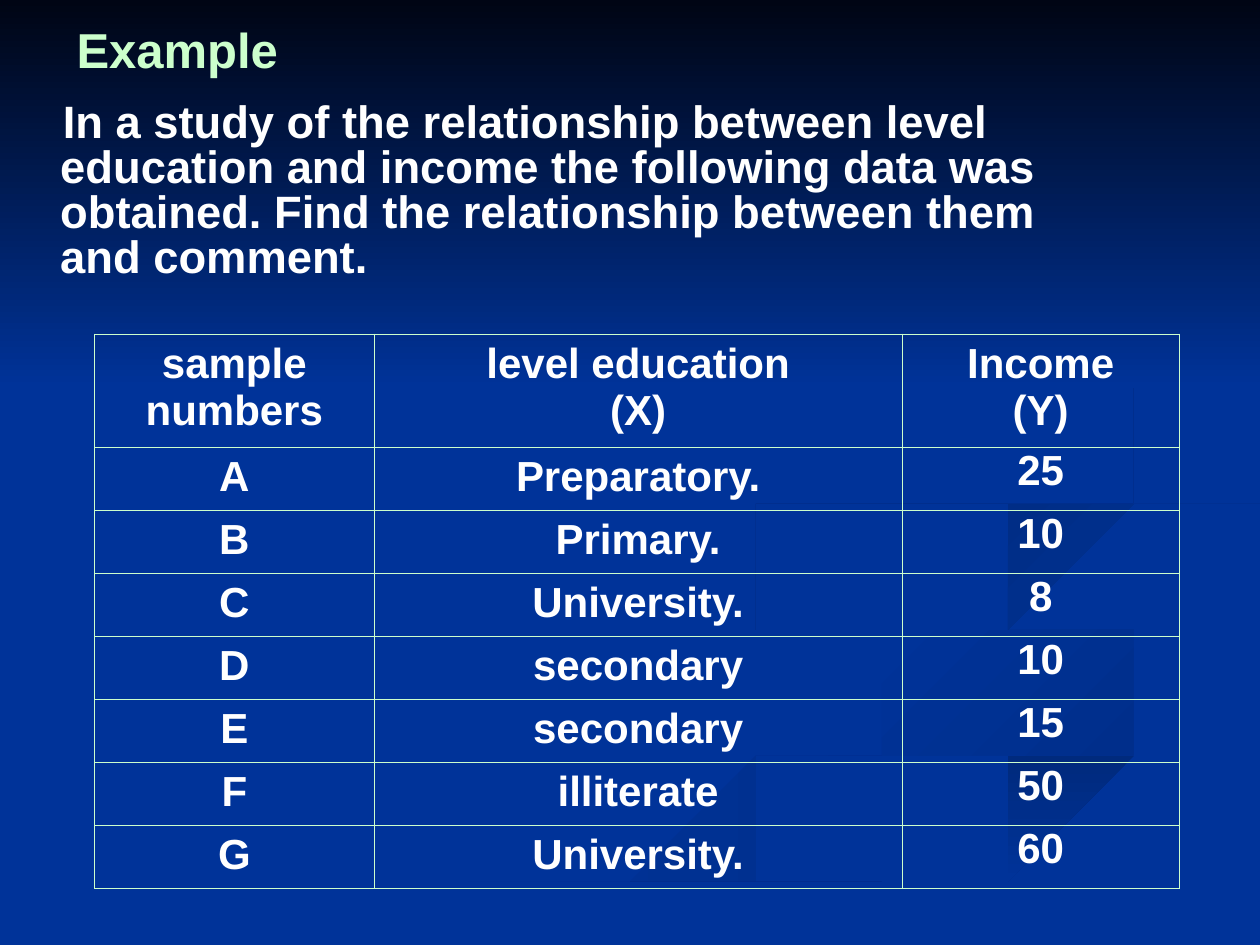
from dataclasses import dataclass
from typing import Optional

import pptx
import pptx.dml.color
import pptx.enum.shapes
import pptx.enum.text
import pptx.oxml
import pptx.oxml.ns
import pptx.util

ALIGN = pptx.enum.text.PP_ALIGN
ANCHOR = pptx.enum.text.MSO_ANCHOR

# The slide is a grid of 10 columns by 7.5 rows
COLUMNS, ROWS = 10, 7.5
CELL = pptx.util.Inches(1)
CURVE_STEPS = 5


@dataclass(frozen=True)
class Theme:
    font: str = "Arial"
    blue: str = "003399"
    night: str = "000514"
    mint: str = "CCFFCC"
    white: str = "FFFFFF"
    title_size: float = 28
    question_size: float = 25.9
    table_size: float = 24
    border_width: float = 0.45


@dataclass(frozen=True)
class Ribbon:
    edges: tuple  # each edge is a smooth curve; the edges meet at corners
    start: str
    end: Optional[str] = None  # no end colour means a solid fill
    angle: float = 0  # clockwise


THEME = Theme()

# Edges that neighbouring ribbons share
INNER_EDGE = ((7.24, 4.64), (7.92, 5.09), (9.05, 5.4), (9.43, 5.7))
SWEEP_EDGE = ((5.03, 7.49), (6.96, 6.69), (9.98, 5.81))
CURL_EDGE = ((7.81, 4.62), (8.5, 4.27), (9.98, 4.02))

RIBBONS = (
    # Left wave
    Ribbon((((5.75, 4.59), (5.81, 4.83), (6.79, 5.19), (7.86, 5.66), (7.14, 6.05),
             (4.58, 6.74), (3, 7.49)),
            ((3.61, 7.49), (5.32, 6.74), (6.99, 6.28), (8, 5.81), (7.81, 5.53),
             (6.82, 5.19), (6.02, 4.9), (5.75, 4.59))),
           THEME.blue, "002E8B"),
    # Inner edge of the right wave
    Ribbon((INNER_EDGE + ((8.94, 6.05),),
            ((8.94, 6.05), (9.18, 5.81), (8.38, 5.36), (7.55, 5.05), (7.24, 4.64))),
           THEME.blue, "002E8B", 45),
    # Lower sweep
    Ribbon((SWEEP_EDGE, ((9.98, 6.09), (7.52, 6.72), (5.71, 7.49))),
           "002A7D", THEME.blue, 90),
    # Right wave
    Ribbon((INNER_EDGE + ((8.13, 6.25), (6.19, 6.84), (4.77, 7.49)),
            SWEEP_EDGE,
            ((9.98, 5.38), (8.32, 4.98)) + CURL_EDGE,
            ((9.98, 3.87), (8.3, 4.15), (7.42, 4.39), INNER_EDGE[0])),
           THEME.blue),
    # Upper right curl
    Ribbon((CURL_EDGE, ((9.98, 4.2), (8.78, 4.39), (8.06, 4.72), (8.26, 4.96)),
            ((8.26, 4.96), CURL_EDGE[0])),
           "002D86", THEME.blue, 45),
    # Upper hook
    Ribbon((((7.62, 2.33), (8.64, 2.91), (8.94, 3.44), (8.41, 3.96), (6.83, 4.3),
             (5.94, 4.65), (6.22, 5)),
            ((6.22, 5), (5.77, 4.62), (6.49, 4.2), (8.3, 3.82), (8.89, 3.35),
             (8.46, 2.79), (7.62, 2.33))),
           "002B82", THEME.blue, 45),
)

QUESTION = ("In a study of the relationship between level education and income the following "
            "data was obtained. Find the relationship between them and comment.")

SAMPLES = (
    ("sample\vnumbers", "level education\v(X)", "Income\v(Y)"),
    ("A", "Preparatory.", "25"),
    ("B", "Primary.", "10"),
    ("C", "University.", "8"),
    ("D", "secondary", "10"),
    ("E", "secondary", "15"),
    ("F", "illiterate", "50"),
    ("G", "University.", "60"),
)
SAMPLE_WIDTHS = (2.22, 4.19, 2.2)
HEADER_HEIGHT, SAMPLE_HEIGHT = 0.9, 0.5


def grid(count: float) -> int:
    return round(count * CELL)


def rgb(code: str) -> pptx.dml.color.RGBColor:
    return pptx.dml.color.RGBColor.from_string(code)


def write(frame, text: str, *, size: float, color: str = THEME.white,
          align=ALIGN.LEFT, anchor=ANCHOR.TOP, spacing: float = 1.0) -> None:
    frame.word_wrap = True
    frame.vertical_anchor = anchor
    frame.text = text
    paragraph = frame.paragraphs[0]
    paragraph.alignment = align
    paragraph.line_spacing = spacing
    for run in paragraph.runs:
        run.font.name = THEME.font
        run.font.size = pptx.util.Pt(size)
        run.font.bold = True
        run.font.color.rgb = rgb(color)


def smooth(edge: tuple) -> list:
    """Points of a Catmull-Rom curve through the knots of an edge."""
    knots = (edge[0], *edge, edge[-1])
    points = [edge[0]]
    for before, here, there, after in zip(knots, knots[1:], knots[2:], knots[3:]):
        for step in range(1, CURVE_STEPS + 1):
            t = step / CURVE_STEPS
            points.append(tuple(
                b + ((c - a) * t + (2 * a - 5 * b + 4 * c - d) * t ** 2
                     + (3 * b - a - 3 * c + d) * t ** 3) / 2
                for a, b, c, d in zip(before, here, there, after)))
    return points


def paint(band, start: str, end: Optional[str], angle: float) -> None:
    band.shadow.inherit = False
    band.line.fill.background()
    if end is None:
        band.fill.solid()
        band.fill.fore_color.rgb = rgb(start)
        return
    band.fill.gradient()
    band.fill.gradient_angle = (360 - angle) % 360
    for stop, color in zip(band.fill.gradient_stops, (start, end)):
        stop.color.rgb = rgb(color)


def draw_ribbon(slide, ribbon: Ribbon) -> None:
    first, *rest = [point for edge in ribbon.edges for point in smooth(edge)]
    builder = slide.shapes.build_freeform(*first, scale=CELL)
    builder.add_line_segments(rest, close=True)
    paint(builder.convert_to_shape(), ribbon.start, ribbon.end, ribbon.angle)


def add_borders(cell) -> None:
    properties = cell._tc.get_or_add_tcPr()
    width = pptx.util.Pt(THEME.border_width)
    for index, side in enumerate(("lnL", "lnR", "lnT", "lnB")):
        properties.insert(index, pptx.oxml.parse_xml(
            f'<a:{side} {pptx.oxml.ns.nsdecls("a")} w="{width}"><a:solidFill>'
            f'<a:srgbClr val="{THEME.mint}"/></a:solidFill></a:{side}>'))


def draw_samples(slide, left: float, top: float) -> None:
    heights = [HEADER_HEIGHT] + [SAMPLE_HEIGHT] * (len(SAMPLES) - 1)
    samples = slide.shapes.add_table(
        len(SAMPLES), len(SAMPLE_WIDTHS), grid(left), grid(top),
        grid(sum(SAMPLE_WIDTHS)), grid(sum(heights))).table
    samples.first_row = samples.horz_banding = False
    for column, width in zip(samples.columns, SAMPLE_WIDTHS):
        column.width = grid(width)
    for row, height, entries in zip(samples.rows, heights, SAMPLES):
        row.height = grid(height)
        for cell, entry in zip(row.cells, entries):
            write(cell.text_frame, entry, size=THEME.table_size, align=ALIGN.CENTER)
            cell.margin_top = 0 if entry.isdigit() else grid(0.05)  # incomes sit higher
            cell.fill.background()
            add_borders(cell)


def main() -> None:
    deck = pptx.Presentation()
    deck.slide_width, deck.slide_height = grid(COLUMNS), grid(ROWS)
    slide = deck.slides.add_slide(deck.slide_layouts[6])

    # Backdrop: ribbons under a night sky
    slide.background.fill.solid()
    slide.background.fill.fore_color.rgb = rgb(THEME.blue)
    for ribbon in RIBBONS:
        draw_ribbon(slide, ribbon)
    sky = slide.shapes.add_shape(pptx.enum.shapes.MSO_SHAPE.RECTANGLE,
                                 0, 0, grid(COLUMNS), grid(3.08))
    paint(sky, THEME.night, THEME.blue, 90)

    # Heading and question
    heading = slide.shapes.add_textbox(grid(0.51), 0, grid(9), grid(0.77))
    write(heading.text_frame, "Example", size=THEME.title_size, color=THEME.mint,
          anchor=ANCHOR.MIDDLE)
    question = slide.shapes.add_textbox(0, grid(0.76), grid(9), grid(1.57))
    write(question.text_frame, QUESTION, size=THEME.question_size, spacing=0.83)
    indents = question.text_frame.paragraphs[0]._p.get_or_add_pPr()
    indents.set("marL", str(grid(0.38)))
    indents.set("indent", str(grid(0.02)))

    # Samples
    draw_samples(slide, 0.75, 2.65)
    deck.save("out.pptx")


if __name__ == "__main__":
    main()
